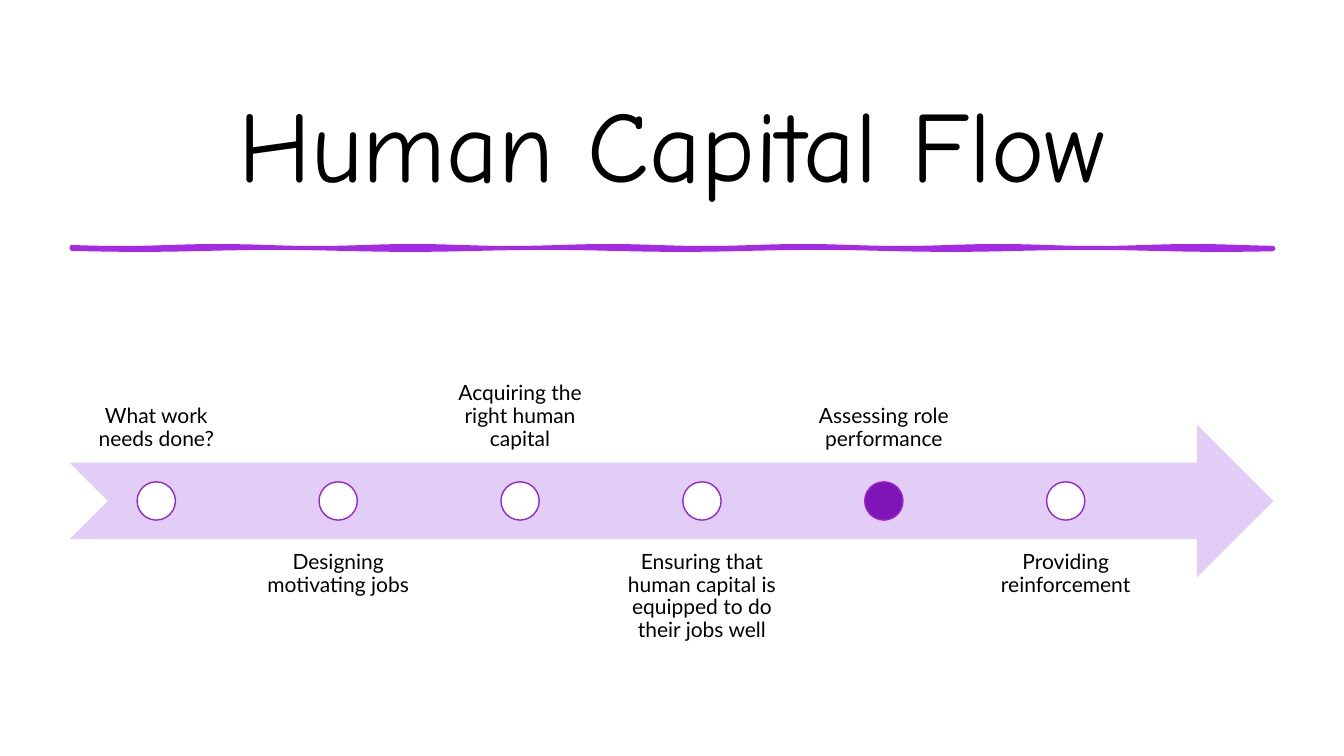
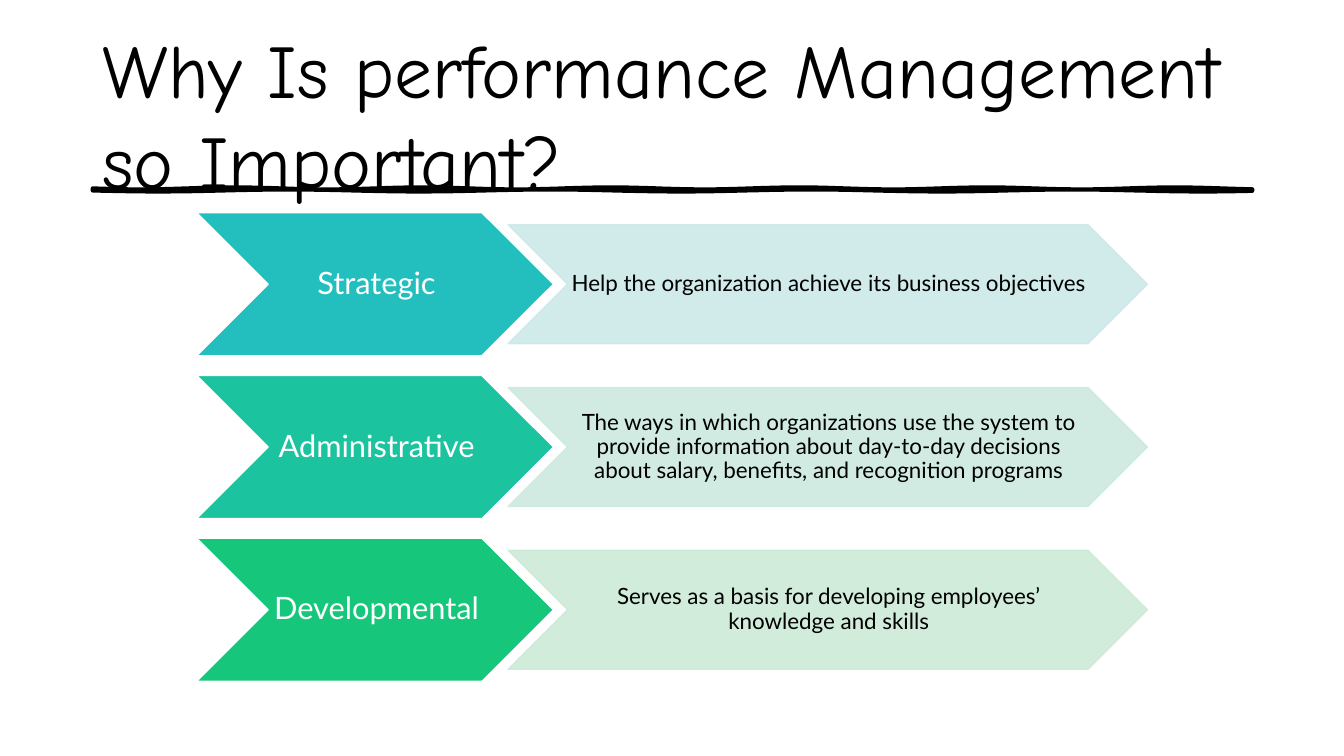
from math import sin

from lxml import etree
from pptx import Presentation
from pptx.dml.color import RGBColor
from pptx.enum.shapes import MSO_SHAPE as Shape
from pptx.enum.text import MSO_ANCHOR as Anchor, PP_ALIGN as Align
from pptx.oxml.ns import qn
from pptx.util import Inches, Pt

BLACK, WHITE = "000000", "FFFFFF"
TITLE_FONT, BODY_FONT = "Comic Neue", "Lato"


def paint(shape, fill, line=None, weight=1, opacity=100):
    """Set the fill and outline of a shape, without a shadow."""
    shape.shadow.inherit = False
    shape.fill.solid()
    shape.fill.fore_color.rgb = RGBColor.from_string(fill)
    if line is None:
        shape.line.fill.background()
    else:
        shape.line.color.rgb = RGBColor.from_string(line)
        shape.line.width = Pt(weight)
    if opacity < 100:
        for color in shape._element.spPr.iter(qn("a:srgbClr")):
            etree.SubElement(color, qn("a:alpha"), val=str(opacity * 1000))


def write(shape, text, size, color=BLACK, font=BODY_FONT, align=Align.CENTER,
          anchor=Anchor.MIDDLE, spacing=0.9, insets=(0.02, 0.01, 0, 0.01)):
    """Put one formatted paragraph into a shape; insets run left, top, right, bottom."""
    frame = shape.text_frame
    frame.word_wrap = True
    frame.vertical_anchor = anchor
    (frame.margin_left, frame.margin_top,
     frame.margin_right, frame.margin_bottom) = [Inches(inset) for inset in insets]
    frame.text = text
    para = frame.paragraphs[0]
    para.alignment = align
    para.line_spacing = spacing
    span = para.runs[0]
    span.font.name = font
    span.font.size = Pt(size)
    span.font.color.rgb = RGBColor.from_string(color)


deck = Presentation()
deck.slide_width, deck.slide_height = Inches(13.33), Inches(7.5)

# Title and hand-drawn rule of each slide
headings = [
    ("Human Capital Flow", 72, Align.CENTER, (0.69, 0.69, 11.94, 1.44),
     (0.71, 2.46, 11.92), "A629E7", 2.75),
    ("Why Is performance Management so Important?", 54, Align.LEFT,
     (0.92, 0.4, 11.5, 1.45), (0.92, 1.88, 11.5), BLACK, 3),
]
STEPS = 120
slides = []
for title, size, align, title_area, (left, middle, width), color, weight in headings:
    slide = deck.slides.add_slide(deck.slide_layouts[6])
    slides.append(slide)

    upper = [(left + width * i / STEPS, middle - 0.01 + 0.01 * sin(i / 3.1))
             for i in range(STEPS + 1)]
    lower = [(left + width * i / STEPS, middle + 0.01 + 0.01 * sin(i / 4.3))
             for i in range(STEPS, -1, -1)]
    outline = [(Inches(x), Inches(y)) for x, y in upper + lower]
    builder = slide.shapes.build_freeform(*outline[0])
    builder.add_line_segments(outline[1:], close=True)
    paint(builder.convert_to_shape(), color, color, weight)

    box = slide.shapes.add_textbox(*[Inches(length) for length in title_area])
    write(box, title, size, font=TITLE_FONT, align=align, spacing=1.0,
          insets=(0.1, 0.05, 0.1, 0.05))

flow_slide, reasons_slide = slides

# Timeline arrow with labels alternating above and below
arrow = flow_slide.shapes.add_shape(Shape.NOTCHED_RIGHT_ARROW, Inches(0.69),
                                    Inches(4.21), Inches(11.94), Inches(1.52))
paint(arrow, "E1CDF6")

stages = ["What work needs done?", "Designing motivating jobs",
          "Acquiring the right human capital",
          "Ensuring that human capital is equipped to do their jobs well",
          "Assessing role performance", "Providing reinforcement"]
CURRENT_STAGE = 4
LABEL_WIDTH, LABEL_HEIGHT, DOT = 1.72, 1.52, 0.38
pitch = (9.71 - 0.69) / (len(stages) - 1)
for i, stage in enumerate(stages):
    left = 0.69 + i * pitch
    above = i % 2 == 0
    label = flow_slide.shapes.add_textbox(
        Inches(left), Inches(3.07 if above else 5.35),
        Inches(LABEL_WIDTH), Inches(LABEL_HEIGHT))
    write(label, stage, 15, anchor=Anchor.BOTTOM if above else Anchor.TOP,
          insets=(0.12,) * 4)
    dot = flow_slide.shapes.add_shape(
        Shape.OVAL, Inches(left + (LABEL_WIDTH - DOT) / 2), Inches(4.78),
        Inches(DOT), Inches(DOT))
    paint(dot, "8015B7" if i == CURRENT_STAGE else WHITE, "9725D2")

# Rows of a purpose chevron and its explanation
reasons = [
    ("Strategic", "22BFBE", "CDE8E8",
     "Help the organization achieve its business objectives"),
    ("Administrative", "1CC39F", "CDE9E0",
     "The ways in which organizations use the system to provide information "
     "about day-to-day decisions about salary, benefits, and recognition programs"),
    ("Developmental", "16C67B", "CCEAD7",
     "Serves as a basis for developing employees’ knowledge and skills"),
]
for i, (purpose, strong, pale, explanation) in enumerate(reasons):
    top = 2.11 + i * 1.615
    head = reasons_slide.shapes.add_shape(
        Shape.CHEVRON, Inches(1.95), Inches(top), Inches(3.54), Inches(1.42))
    paint(head, strong, WHITE)
    write(head, purpose, 22, WHITE, insets=(0.03, 0.02, 0, 0.02))
    detail = reasons_slide.shapes.add_shape(
        Shape.CHEVRON, Inches(5.04), Inches(top + 0.12), Inches(6.34), Inches(1.18))
    paint(detail, pale, pale, opacity=90)
    write(detail, explanation, 16)

deck.save("out.pptx")
